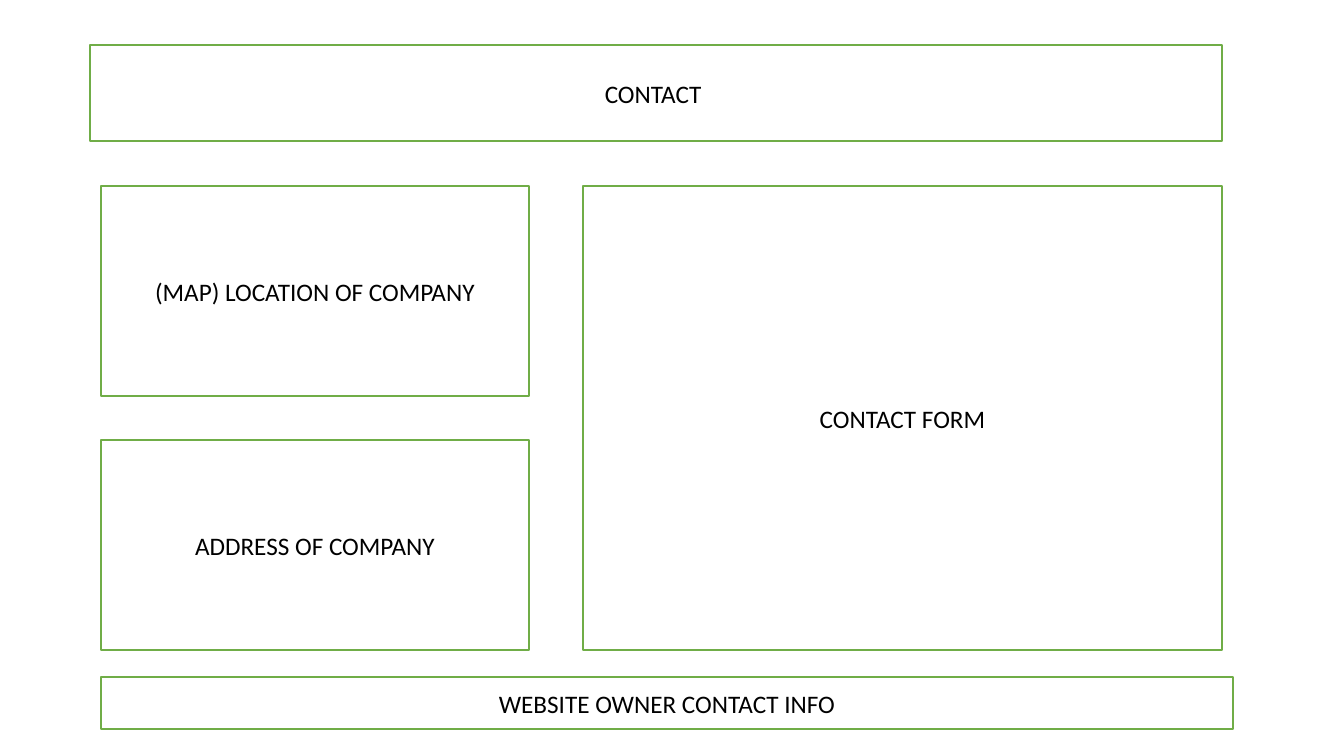
from pptx import Presentation
from pptx.dml.color import RGBColor
from pptx.enum.shapes import MSO_SHAPE
from pptx.enum.text import MSO_ANCHOR, PP_ALIGN
from pptx.util import Emu, Pt

RECTANGLE = MSO_SHAPE.RECTANGLE
MIDDLE = MSO_ANCHOR.MIDDLE
CENTER = PP_ALIGN.CENTER

EMU_PER_PIXEL = 914400 / 100.8
WHITE, GREEN, BLACK = "FFFFFF", "70AD47", "000000"

LEFT, TOP = 101, 186
BAND_WIDTH = 1132
SIDE_WIDTH, SIDE_HEIGHT, SIDE_STEP = 428, 210, 254
SIDE_LABELS = ["(MAP) LOCATION OF COMPANY", "ADDRESS OF COMPANY"]


def pixels(count):
    return Emu(round(count * EMU_PER_PIXEL))


def color(hex_string):
    return RGBColor.from_string(hex_string)


def add_box(slide, label, left, top, width, height):
    box = slide.shapes.add_shape(
        RECTANGLE, pixels(left), pixels(top), pixels(width), pixels(height)
    )
    box.shadow.inherit = False
    box.fill.solid()
    box.fill.fore_color.rgb = color(WHITE)
    box.line.color.rgb = color(GREEN)
    box.line.width = Pt(1)
    frame = box.text_frame
    frame.word_wrap = True
    frame.vertical_anchor = MIDDLE
    frame.text = label
    para = frame.paragraphs[0]
    para.alignment = CENTER
    para.font.name = "Calibri"
    para.font.size = Pt(18)
    para.font.color.rgb = color(BLACK)


def main():
    deck = Presentation()
    deck.slide_width = pixels(1344)
    deck.slide_height = pixels(756)
    slide = deck.slides.add_slide(deck.slide_layouts[6])

    add_box(slide, "CONTACT ", 90, 45, BAND_WIDTH, 96)
    for row, label in enumerate(SIDE_LABELS):
        add_box(slide, label, LEFT, TOP + row * SIDE_STEP, SIDE_WIDTH, SIDE_HEIGHT)
    add_box(slide, "CONTACT FORM", 583, TOP, 639, SIDE_STEP + SIDE_HEIGHT)
    add_box(slide, "WEBSITE OWNER CONTACT INFO", LEFT, 677, BAND_WIDTH, 52)

    deck.save("out.pptx")


main()
